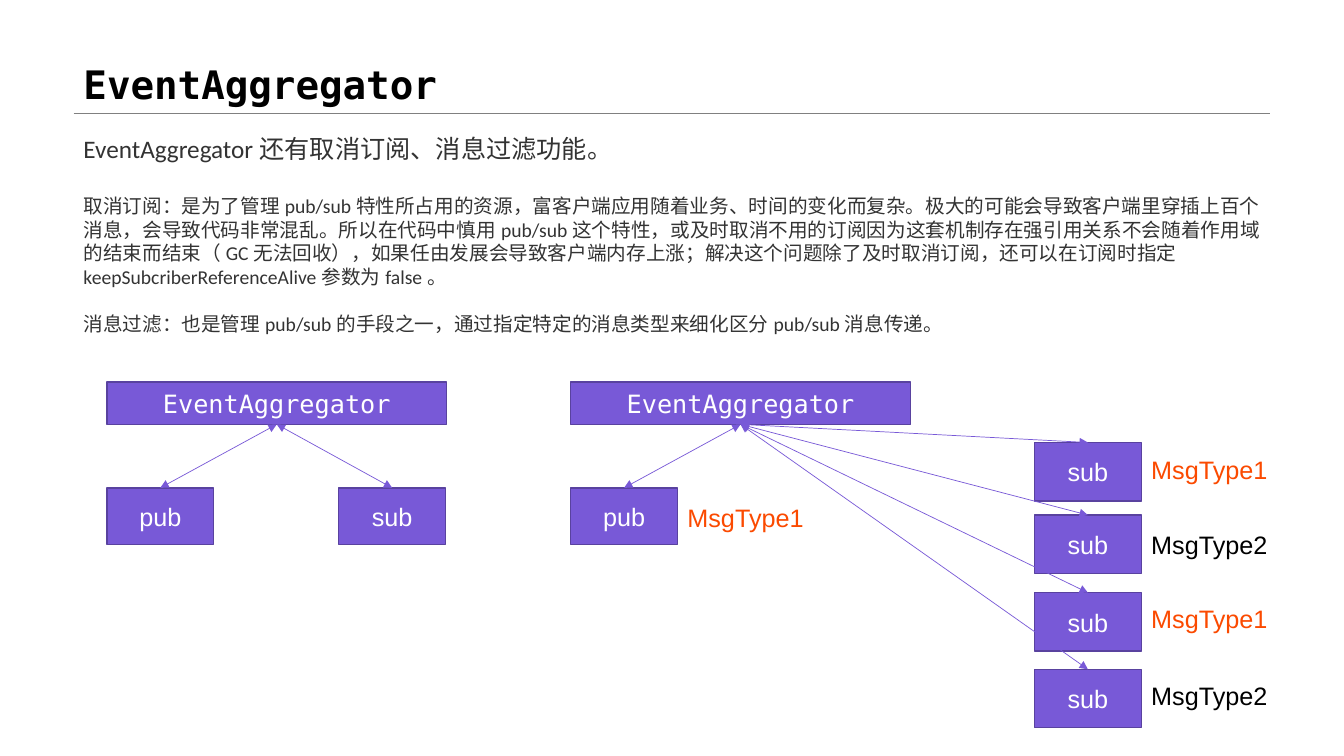
import pptx
import pptx.util
import pptx.dml.color
import pptx.enum.shapes
import pptx.enum.text
import pptx.oxml.ns
from dataclasses import dataclass
from lxml import etree

Inches = pptx.util.Inches
Pt = pptx.util.Pt
ANCHOR = pptx.enum.text.MSO_ANCHOR
ALIGN = pptx.enum.text.PP_ALIGN


@dataclass(frozen=True)
class Theme:
    purple: str = "7859D7"
    purple_edge: str = "59429F"
    orange: str = "FB4A00"
    black: str = "000000"
    white: str = "FFFFFF"
    body: str = "333333"
    rule: str = "808080"
    mono: str = "DejaVu Sans Mono"
    sans: str = "Arial"
    text: str = "Calibri"
    title_size: int = 28
    lead_size: int = 18
    detail_size: int = 14


THEME = Theme()
NODE_W = 1.06
BUS_W, BUS_H = 3.37, 0.42
LABEL_W, LABEL_H = 1.37, 0.4
MSG_COLORS = {"MsgType1": THEME.orange, "MsgType2": THEME.black}

PARAGRAPHS = [  # text, size, space before in points
    ("EventAggregator还有取消订阅、消息过滤功能。", THEME.lead_size, 0),
    ("取消订阅：是为了管理pub/sub特性所占用的资源，富客户端应用随着业务、时间的变化而复杂。"
     "极大的可能会导致客户端里穿插上百个消息，会导致代码非常混乱。所以在代码中慎用pub/sub这个特性，"
     "或及时取消不用的订阅因为这套机制存在强引用关系不会随着作用域的结束而结束（GC无法回收），"
     "如果任由发展会导致客户端内存上涨；解决这个问题除了及时取消订阅，还可以在订阅时指定"
     "keepSubcriberReferenceAlive参数为false。", THEME.detail_size, 22),
    ("消息过滤：也是管理pub/sub的手段之一，通过指定特定的消息类型来细化区分pub/sub消息传递。",
     THEME.detail_size, 17),
]


def rgb(color):
    return pptx.dml.color.RGBColor.from_string(color)


def style(paragraph, font, size, color, bold=False):
    for run in paragraph.runs:
        run.font.name = font
        run.font.size = Pt(size)
        run.font.bold = bold
        run.font.color.rgb = rgb(color)


def add_line(slide, start, end, color, width):
    line = slide.shapes.add_connector(
        pptx.enum.shapes.MSO_CONNECTOR.STRAIGHT, *map(Inches, start + end))
    line.line.color.rgb = rgb(color)
    line.line.width = Pt(width)
    etree.SubElement(line._element.spPr, pptx.oxml.ns.qn("a:effectLst"))
    return line


def add_link(slide, bus, node):
    """Two-headed arrow from the bottom of the bus to the top of a node."""
    link = add_line(slide, (0, 0), (1, 1), THEME.purple, 0.5)
    link.begin_connect(bus, 2)
    link.end_connect(node, 0)
    for end in ("a:headEnd", "a:tailEnd"):
        etree.SubElement(link.line._get_or_add_ln(),
                         pptx.oxml.ns.qn(end), type="triangle")


def add_box(slide, left, top, width, height, text, font=THEME.sans):
    box = slide.shapes.add_shape(pptx.enum.shapes.MSO_SHAPE.RECTANGLE,
                                 *map(Inches, (left, top, width, height)))
    box.shadow.inherit = False
    box.fill.solid()
    box.fill.fore_color.rgb = rgb(THEME.purple)
    box.line.color.rgb = rgb(THEME.purple_edge)
    box.line.width = Pt(1)
    box.text_frame.text = text
    box.text_frame.vertical_anchor = ANCHOR.MIDDLE
    caption = box.text_frame.paragraphs[0]
    caption.alignment = ALIGN.CENTER
    style(caption, font, THEME.lead_size, THEME.white)
    return box


def add_message_label(slide, left, top, message):
    label = slide.shapes.add_textbox(
        *map(Inches, (left, top, LABEL_W, LABEL_H)))
    label.text_frame.word_wrap = False
    label.text_frame.text = message
    style(label.text_frame.paragraphs[0], THEME.sans, THEME.lead_size,
          MSG_COLORS[message])


def add_heading(slide, left, top, width, height):
    bottom = top + height
    add_line(slide, (left, bottom), (left + width, bottom), THEME.rule, 0.25)
    heading = slide.shapes.add_textbox(
        *map(Inches, (left, top, width, height)))
    heading.text_frame.word_wrap = True
    heading.text_frame.vertical_anchor = ANCHOR.BOTTOM
    heading.text_frame.text = "EventAggregator"
    title = heading.text_frame.paragraphs[0]
    title.line_spacing = 0.9
    style(title, THEME.mono, THEME.title_size, THEME.black, bold=True)


def add_explanation(slide, left, top, width, height):
    frame = slide.shapes.add_textbox(
        *map(Inches, (left, top, width, height))).text_frame
    frame.word_wrap = True
    for index, (text, size, gap) in enumerate(PARAGRAPHS):
        paragraph = frame.add_paragraph() if index else frame.paragraphs[0]
        paragraph.text = text
        paragraph.space_before = Pt(gap)
        style(paragraph, THEME.text, size, THEME.body)


def add_aggregator(slide, left, top, subs, pub_message=None):
    """Bus with a publisher below; subs are (dx, dy, height, message, label dy)."""
    bus = add_box(slide, left, top, BUS_W, BUS_H, "EventAggregator", THEME.mono)
    pub_top = top + 1.05
    pub = add_box(slide, left, pub_top, NODE_W, 0.56, "pub")
    add_link(slide, bus, pub)
    if pub_message:
        add_message_label(slide, left + NODE_W, pub_top + 0.09, pub_message)
    for dx, dy, height, message, label_dy in subs:
        sub = add_box(slide, left + dx, top + dy, NODE_W, height, "sub")
        add_link(slide, bus, sub)
        if message:
            add_message_label(slide, left + dx + NODE_W, top + label_dy, message)


def main():
    prs = pptx.Presentation()
    prs.slide_width, prs.slide_height = Inches(13.33), Inches(7.5)
    slide = prs.slides.add_slide(prs.slide_layouts[6])

    # Title and text
    add_heading(slide, 0.73, 0, 11.87, 1.12)
    add_explanation(slide, 0.73, 1.27, 11.87, 2.12)

    # Plain publish/subscribe
    add_aggregator(slide, 1.06, 3.79, [(2.3, 1.05, 0.56, None, 0)])

    # Publish/subscribe filtered by message type
    filtered = [(4.6, 0.6, 0.58, "MsgType1", 0.67),
                (4.6, 1.32, 0.58, "MsgType2", 1.41),
                (4.6, 2.09, 0.58, "MsgType1", 2.15),
                (4.6, 2.85, 0.58, "MsgType2", 2.91)]
    add_aggregator(slide, 5.66, 3.79, filtered, pub_message="MsgType1")

    prs.save("out.pptx")


if __name__ == "__main__":
    main()
